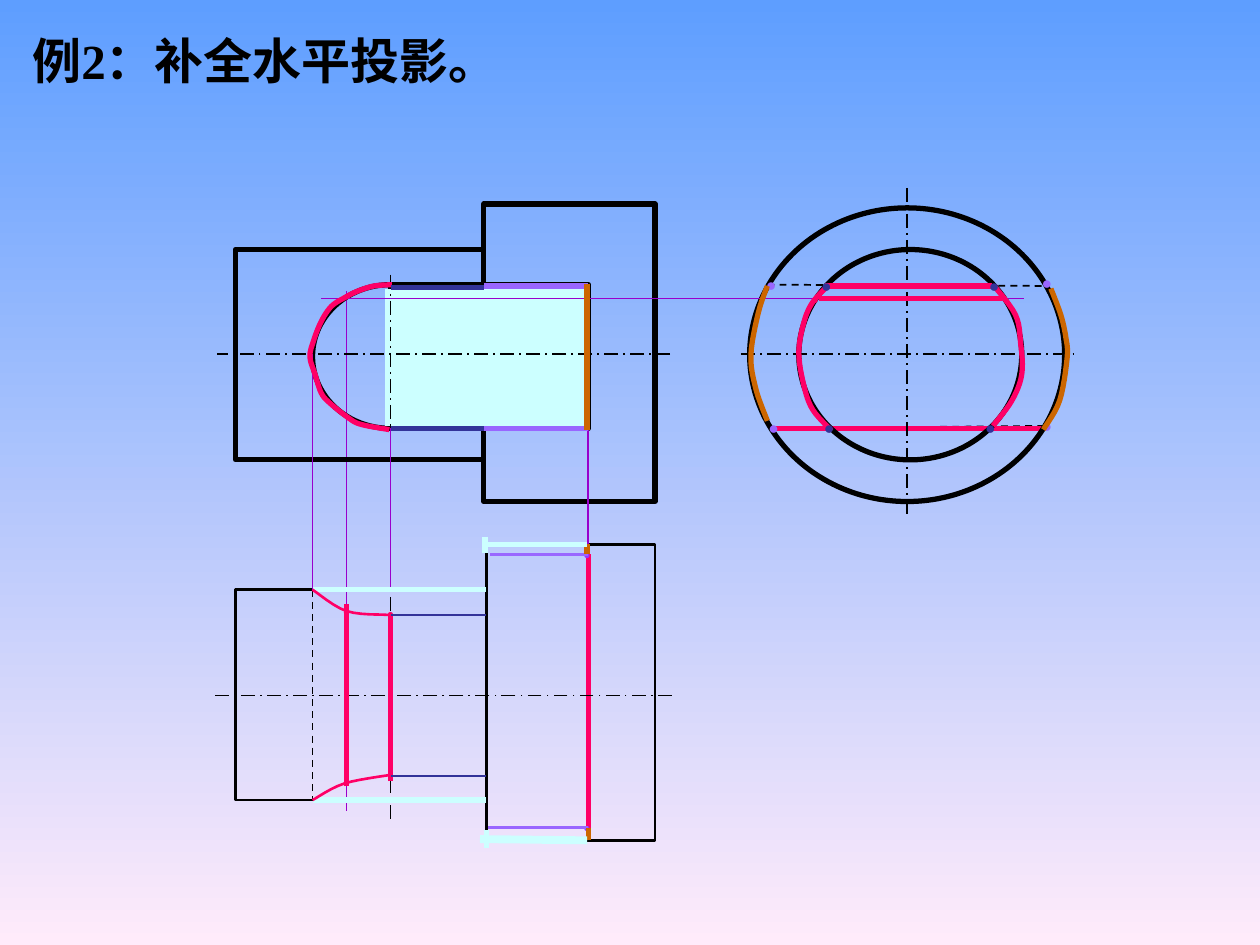
from dataclasses import dataclass
from typing import NamedTuple, Optional

from lxml import etree
from pptx import Presentation
from pptx.dml.color import RGBColor
from pptx.enum.dml import MSO_LINE
from pptx.enum.shapes import MSO_CONNECTOR, MSO_SHAPE
from pptx.enum.text import MSO_ANCHOR, MSO_AUTO_SIZE, PP_ALIGN
from pptx.oxml.ns import qn
from pptx.util import Pt

STRAIGHT = MSO_CONNECTOR.STRAIGHT
RECT, OVAL = MSO_SHAPE.RECTANGLE, MSO_SHAPE.OVAL
DASH, DASH_DOT = MSO_LINE.DASH, MSO_LINE.LONG_DASH_DOT
MIDDLE, FIT_SHAPE = MSO_ANCHOR.MIDDLE, MSO_AUTO_SIZE.SHAPE_TO_FIT_TEXT
LEFT, CENTER = PP_ALIGN.LEFT, PP_ALIGN.CENTER


@dataclass(frozen=True)
class Theme:
    sky: RGBColor = RGBColor(0x5E, 0x9E, 0xFF)
    blush: RGBColor = RGBColor(0xFF, 0xEB, 0xFA)
    ink: RGBColor = RGBColor(0, 0, 0)
    pink: RGBColor = RGBColor(0xFF, 0x00, 0x66)
    violet: RGBColor = RGBColor(0x99, 0x00, 0xCC)
    purple: RGBColor = RGBColor(0x99, 0x33, 0xFF)
    navy: RGBColor = RGBColor(0x33, 0x33, 0x99)
    lilac: RGBColor = RGBColor(0x99, 0x66, 0xFF)
    orange: RGBColor = RGBColor(0xCC, 0x66, 0x00)
    ice: RGBColor = RGBColor(0xCC, 0xFF, 0xFF)
    font: str = "Times New Roman"
    title_size: float = 28
    large_dot: float = 10
    small_dot: float = 7


THEME = Theme()


class Stroke(NamedTuple):
    color: RGBColor
    width: float
    dash: Optional[MSO_LINE] = None


class Line(NamedTuple):
    x1: float
    y1: float
    x2: float
    y2: float


class Box(NamedTuple):
    left: float
    top: float
    right: float
    bottom: float


class Point(NamedTuple):
    x: float
    y: float


OUTLINE, THIN_OUTLINE = Stroke(THEME.ink, 3), Stroke(THEME.ink, 1.5)
AXIS, HIDDEN = Stroke(THEME.ink, 1, DASH_DOT), Stroke(THEME.ink, 1, DASH)
PROJECTION = Stroke(THEME.violet, 1)
CUT, THIN_CUT = Stroke(THEME.pink, 3), Stroke(THEME.pink, 1.5)
SMALL_EDGE, THIN_SMALL_EDGE = Stroke(THEME.navy, 3), Stroke(THEME.navy, 1.5)
LARGE_EDGE, THIN_LARGE_EDGE = Stroke(THEME.lilac, 3), Stroke(THEME.lilac, 1.5)
END_ARC = Stroke(THEME.orange, 3)
REMOVED, WIDE_REMOVED, SLOT_MASK = (Stroke(THEME.ice, w) for w in (3, 4.5, 6))

# Shared positions along the part
PART_L, ARC_X, SECTION_X, SLOT_X = 134.6, 178.6, 198, 223.2
STEP_X, PLAN_STEP_X, SLOT_END, PART_R = 276.5, 277.9, 336.2, 374.4
SLOT_TOP, SECTION_Y, FRONT_AXIS, SLOT_BOTTOM = 162.7, 170.6, 202.3, 244.8
PLAN_TOP, LARGE_TOP, SMALL_TOP, CUT_TOP = 311, 316.8, 337, 351.4
PLAN_AXIS, CUT_BOTTOM, SMALL_BOTTOM, LARGE_BOTTOM, PLAN_BOTTOM = 397.4, 443.5, 457.2, 473, 480.2
SIDE_AXIS = 518.4


def apply_stroke(shape, stroke: Stroke) -> None:
    shape.line.color.rgb = stroke.color
    shape.line.width = Pt(stroke.width)
    if stroke.dash is not None:
        shape.line.dash_style = stroke.dash


def draw_lines(slide, stroke: Stroke, *lines: Line) -> None:
    for line in lines:
        connector = slide.shapes.add_connector(STRAIGHT, *map(Pt, line))
        apply_stroke(connector, stroke)
        etree.SubElement(connector.element.spPr, qn("a:effectLst"))


def draw_boxes(slide, kind, stroke: Stroke, *boxes: Box, fill: Optional[RGBColor] = None) -> None:
    for box in boxes:
        shape = slide.shapes.add_shape(kind, Pt(box.left), Pt(box.top),
                                       Pt(box.right - box.left), Pt(box.bottom - box.top))
        shape.shadow.inherit = False
        if fill is None:
            shape.fill.background()
        else:
            shape.fill.solid()
            shape.fill.fore_color.rgb = fill
        apply_stroke(shape, stroke)


def spline(points: list[Point], steps: int = 6) -> list[Point]:
    """Smooth Catmull-Rom curve through the points."""
    padded = [points[0], *points, points[-1]]
    curve = [points[0]]
    for a, b, c, d in zip(padded, padded[1:], padded[2:], padded[3:]):
        for t in (i / steps for i in range(1, steps + 1)):
            curve.append(Point(*(
                q + t * (r - p + t * (2*p - 5*q + 4*r - s + t * (3*q - p - 3*r + s))) / 2
                for p, q, r, s in zip(a, b, c, d))))
    return curve


def draw_curve(slide, stroke: Stroke, *coordinates: tuple[float, float]) -> None:
    start, *rest = [(Pt(x), Pt(y)) for x, y in spline([Point(*c) for c in coordinates])]
    builder = slide.shapes.build_freeform(*start)
    builder.add_line_segments(rest, close=False)
    shape = builder.convert_to_shape()
    shape.shadow.inherit = False
    shape.fill.background()
    apply_stroke(shape, stroke)


def draw_text(slide, text: str, box: Box, size: float, color: RGBColor,
              align=CENTER, bold: bool = False, wrap: bool = False) -> None:
    label = slide.shapes.add_textbox(Pt(box.left), Pt(box.top),
                                     Pt(box.right - box.left), Pt(box.bottom - box.top))
    frame = label.text_frame
    frame.text = text
    paragraph = frame.paragraphs[0]
    font = paragraph.runs[0].font
    font.color.rgb = color
    formats = {
        frame: {"word_wrap": wrap, "vertical_anchor": MIDDLE, "auto_size": FIT_SHAPE},
        paragraph: {"alignment": align},
        font: {"name": THEME.font, "size": Pt(size), "bold": bold},
    }
    for target, values in formats.items():
        for name, value in values.items():
            setattr(target, name, value)


def draw_dots(slide, size: float, color: RGBColor, *centres: tuple[float, float]) -> None:
    half_width, half_height = 7.2 + size * 0.3, 3.6 + size * 0.61
    for x, y in centres:
        box = Box(x - half_width, y - half_height, x + half_width, y + half_height)
        draw_text(slide, "●", box, size, color)


def main() -> None:
    deck = Presentation()
    deck.slide_width, deck.slide_height = Pt(720), Pt(540)
    slide = deck.slides.add_slide(deck.slide_layouts[6])
    background = slide.background.fill
    background.gradient()
    background.gradient_angle = 270
    for stop, color in zip(background.gradient_stops, (THEME.sky, THEME.blush)):
        stop.color.rgb = color

    # Hidden edges, cuts and axes behind the outlines
    draw_lines(slide, HIDDEN, Line(440, SLOT_BOTTOM, 596.2, 243.4),
               Line(SLOT_END, PLAN_TOP, SLOT_END, PLAN_BOTTOM))
    draw_lines(slide, CUT, Line(SLOT_END, 473.8, SLOT_END, LARGE_TOP),
               Line(440, SLOT_BOTTOM, 596.2, SLOT_BOTTOM))
    draw_lines(slide, PROJECTION, Line(SECTION_X, 166.3, SECTION_X, 463.7))
    draw_lines(slide, AXIS, Line(SLOT_X, 326.2, SLOT_X, 468.7),
               Line(423.4, FRONT_AXIS, 614.2, FRONT_AXIS), Line(SIDE_AXIS, 107.3, SIDE_AXIS, 296.6))

    # Outlines of the three views
    draw_boxes(slide, OVAL, OUTLINE, Box(428.4, 118.8, 608.4, 286.6), Box(456.5, 142.6, 583.9, 262.8))
    draw_boxes(slide, RECT, OUTLINE, Box(STEP_X, 116.6, PART_R, 286.6), Box(PART_L, 142.6, STEP_X, 262.8))
    draw_boxes(slide, RECT, THIN_OUTLINE, Box(PLAN_STEP_X, PLAN_TOP, PART_R, PLAN_BOTTOM),
               Box(PART_L, SMALL_TOP, PLAN_STEP_X, SMALL_BOTTOM))

    # Slot in the front view
    draw_boxes(slide, OVAL, OUTLINE, Box(ARC_X, SLOT_TOP, 267.1, SLOT_BOTTOM))
    draw_boxes(slide, RECT, OUTLINE, Box(SLOT_X, SLOT_TOP, SLOT_END, SLOT_BOTTOM), fill=THEME.ice)
    draw_lines(slide, SLOT_MASK, Line(SLOT_X, 164.9, SLOT_X, 243.4))
    draw_lines(slide, AXIS, Line(383, FRONT_AXIS, 123.8, FRONT_AXIS),
               Line(383.8, PLAN_AXIS, 123.1, PLAN_AXIS), Line(SLOT_X, 157, SLOT_X, 257.8))
    draw_lines(slide, HIDDEN, Line(438.5, SLOT_TOP, 597.6, 163.4), Line(ARC_X, SMALL_TOP, ARC_X, SMALL_BOTTOM))

    # Projection lines between the views
    draw_lines(slide, PROJECTION, Line(ARC_X, FRONT_AXIS, ARC_X, SMALL_TOP),
               Line(SLOT_X, SLOT_BOTTOM, SLOT_X, SMALL_TOP), Line(SLOT_END, 243.4, SLOT_END, PLAN_TOP),
               Line(183.6, SECTION_Y, 585.4, SECTION_Y))

    # Construction points and section lines
    draw_dots(slide, THEME.small_dot, THEME.pink, (SLOT_X, 350.6), (SLOT_X, 442.8), (472.3, 163.4),
              (568.1, 163.4), (SECTION_X, 349.2), (SECTION_X, 446.4), (465.8, 171.4), (573.8, 169.9))
    draw_dots(slide, THEME.small_dot, THEME.purple, (335.5, LARGE_TOP), (335.5, LARGE_BOTTOM))
    draw_lines(slide, CUT, Line(471.6, 163.4, 566.6, 163.4), Line(SLOT_X, 446.4, SLOT_X, CUT_TOP),
               Line(SECTION_X, 449.3, SECTION_X, 344.9), Line(468, SECTION_Y, 572.4, SECTION_Y))

    # Slot edges in the plan view
    draw_lines(slide, THIN_SMALL_EDGE, *(Line(SLOT_X, y, PLAN_STEP_X, y) for y in (CUT_TOP, CUT_BOTTOM)))
    draw_lines(slide, THIN_LARGE_EDGE, Line(SLOT_END, LARGE_TOP, 280.1, LARGE_TOP),
               Line(SLOT_END, LARGE_BOTTOM, 278.6, LARGE_BOTTOM))
    draw_lines(slide, END_ARC, Line(335.5, PLAN_TOP, 335.5, LARGE_TOP),
               Line(SLOT_END, LARGE_BOTTOM, SLOT_END, PLAN_BOTTOM))
    draw_lines(slide, REMOVED, Line(277.2, 306.7, 277.2, 316.1), Line(278.6, PLAN_TOP, 335.5, PLAN_TOP),
               *(Line(ARC_X, y, PLAN_STEP_X, y) for y in (SMALL_TOP, SMALL_BOTTOM)))
    draw_lines(slide, WIDE_REMOVED, Line(274.3, 479.5, 335.5, PLAN_BOTTOM))
    draw_lines(slide, REMOVED, Line(PLAN_STEP_X, 474.5, PLAN_STEP_X, 484.6))
    draw_curve(slide, THIN_CUT, (ARC_X, SMALL_TOP), (SECTION_X, 349.2), (221.8, CUT_TOP))
    draw_curve(slide, THIN_CUT, (ARC_X, SMALL_BOTTOM), (196.6, 447.8), (SLOT_X, 442.8))

    # Title
    draw_text(slide, "例2：补全水平投影。", Box(11.5, 13.7, 331.9, 54.7), THEME.title_size,
              THEME.ink, align=LEFT, bold=True, wrap=True)

    # Highlighted edges in the front and side views
    draw_curve(slide, CUT, (223.9, 162.7), (213.8, 163.4), (204.5, 166.3), (197.3, 169.9), (189.4, 175),
               (183.6, 183.6), (179.3, 194.4), (177.1, 203.8), (180, 213.8), (183.6, 224.6),
               (188.6, 230.4), (199.4, 239), (206.6, 242.6), (222.5, 245.5))
    draw_curve(slide, CUT, (473.8, 162.7), (464.4, 172.8), (459.4, 184.3), (456.5, 201.6),
               (459.4, 220.3), (464.4, 234), (475.2, 246.2))
    draw_curve(slide, CUT, (568.1, 163.4), (580.3, 180), (583.2, 195.8), (583.9, 213.8),
               (578.2, 229), (567.4, 243.4))
    draw_lines(slide, SMALL_EDGE, *(Line(SLOT_X, y, STEP_X, y) for y in (164.2, SLOT_BOTTOM)))
    draw_dots(slide, THEME.large_dot, THEME.navy, (473.8, 244.4), (565.9, 244.4), (472.3, 163.1), (568.1, 163.1))
    draw_lines(slide, LARGE_EDGE, *(Line(STEP_X, y, SLOT_END, y) for y in (163.4, SLOT_BOTTOM)))
    draw_dots(slide, THEME.large_dot, THEME.lilac, (440.6, 162.4), (442.1, 244.4), (598.3, 243), (598.3, 161.6))
    draw_curve(slide, END_ARC, (438.5, 163.4), (433.4, 178.6), (429.1, 203), (432, 222.5), (438.5, 240.5))
    draw_curve(slide, END_ARC, (600.5, 164.9), (606.2, 180), (609.1, 193), (609.8, 204.5),
               (605.5, 229), (596.2, 245.5))
    draw_lines(slide, END_ARC, Line(335.5, 162, 335.5, 245.5))
    deck.save("out.pptx")


if __name__ == "__main__":
    main()
